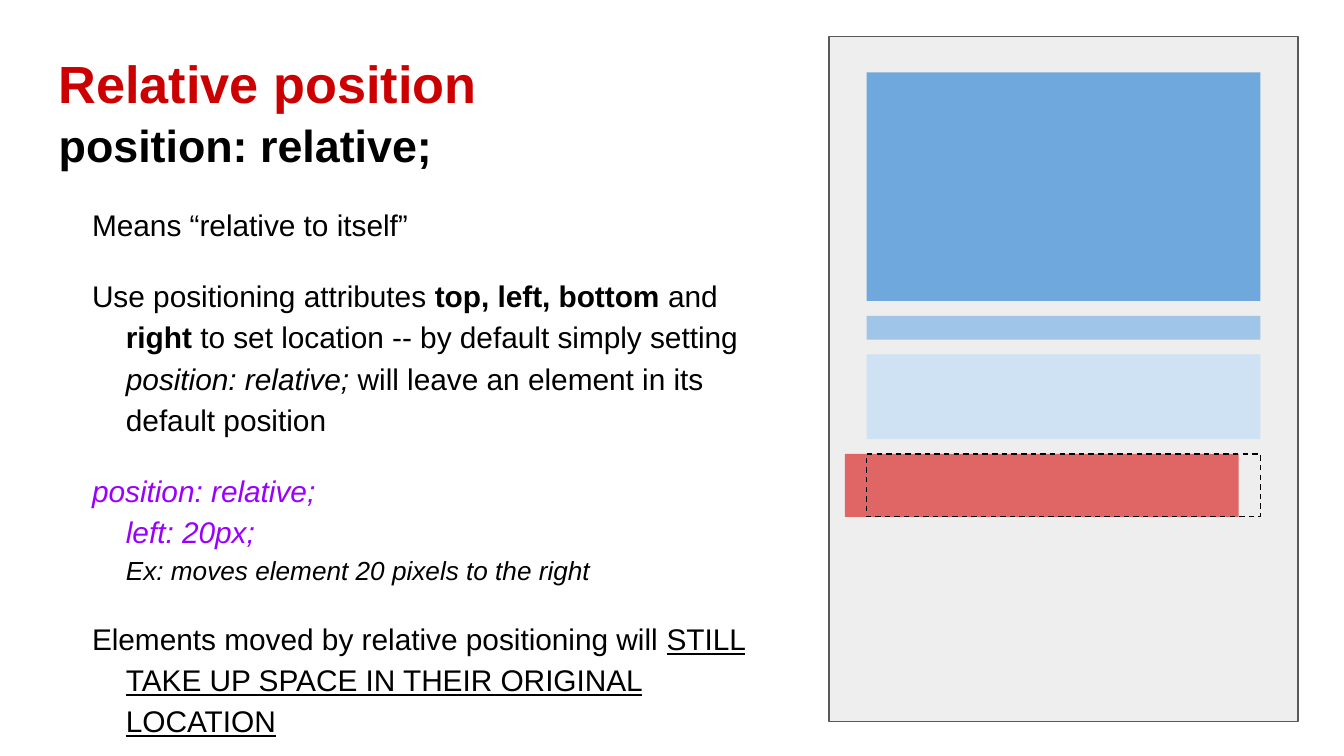
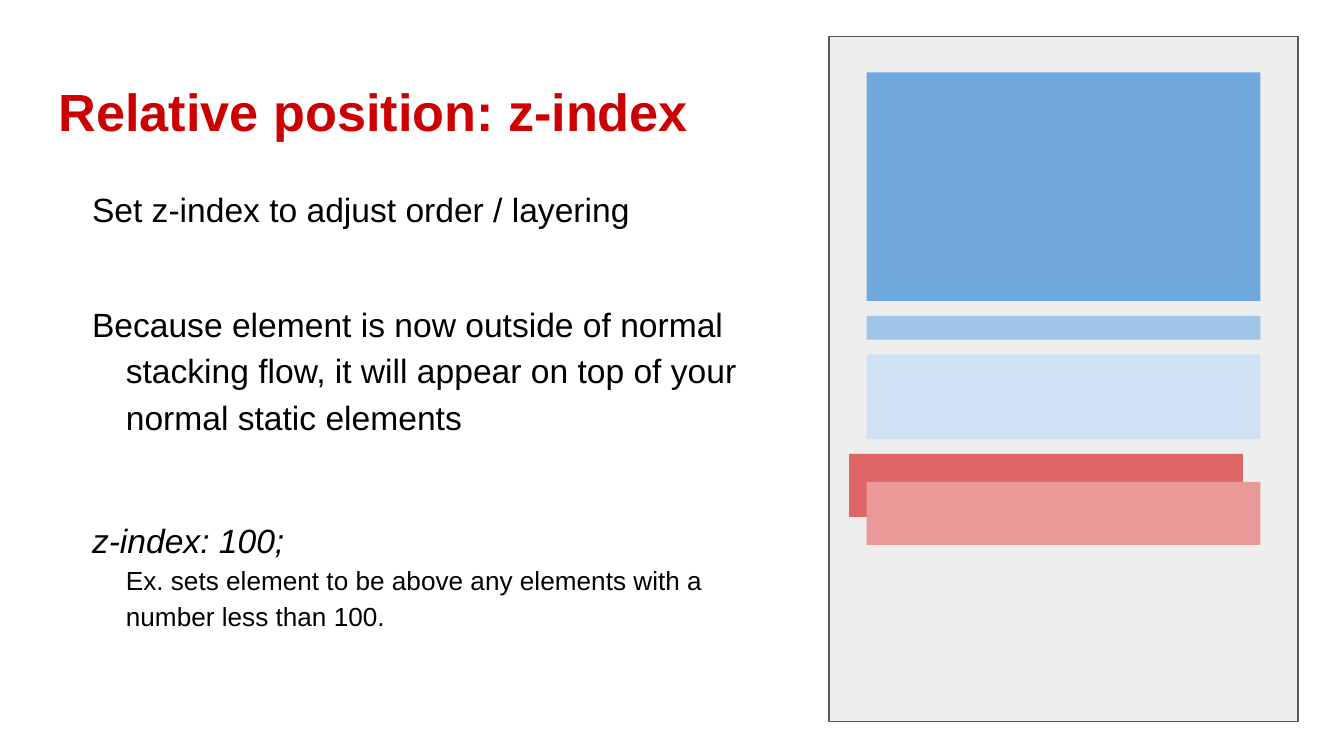
from lxml.etree import SubElement
from pptx import Presentation
from pptx.dml.color import RGBColor
from pptx.enum.dml import MSO_LINE
from pptx.enum.shapes import MSO_SHAPE
from pptx.enum.text import MSO_ANCHOR, MSO_AUTO_SIZE, PP_ALIGN
from pptx.oxml.ns import qn
from pptx.util import Cm, Pt

COLORS = {
    "title": "CC0000", "text": "000000", "code": "9900FF",
    "page": "EEEEEE", "page_line": "595959",
    "header": "6FA8DC", "menu": "9FC5E8", "content": "CFE2F3",
    "moved": "E06666", "overlap": "EA9999",
}
FONT = "Arial"
BLOCK_LEFT, BLOCK_WIDTH, BLOCK_GAP = 16.38, 7.44, 0.28
MOVED_HEIGHT = 1.19
STACK = [("header", 4.32), ("menu", 0.45), ("content", 1.6)]

# A run is (text, size, style flags, colour); a closing "\n" breaks the line.
# A paragraph is (indented, space after in points, runs).
SLIDES = [
    {
        "title": "Relative position", "title_top": 0.71,
        "body_top": 1.83, "body_height": 12.47,
        "moved_left": 15.97, "overlap_top": None,
        "body": [
            (False, 16, [("position: relative;", 24, "b", "text")]),
            (True, 16, [("Means “relative to itself”", 16, "", "text")]),
            (True, 16, [
                ("Use positioning attributes ", 16, "", "text"),
                ("top, left, bottom ", 16, "b", "text"),
                ("and", 16, "", "text"),
                (" right", 16, "b", "text"),
                (" to set location -- by default simply setting ", 16, "", "text"),
                ("position: relative;", 16, "i", "text"),
                (" will leave an element in its default position", 16, "", "text"),
            ]),
            (True, 16, [
                ("position: relative;\n", 16, "i", "code"),
                ("left: 20px;\n", 16, "i", "code"),
                ("Ex: moves element 20 pixels to the right", 14, "i", "text"),
            ]),
            (True, 16, [
                ("Elements moved by relative positioning will ", 16, "", "text"),
                ("STILL TAKE UP SPACE IN THEIR ORIGINAL LOCATION", 16, "u", "text"),
            ]),
        ],
    },
    {
        "title": "Relative position: z-index", "title_top": 1.24,
        "body_top": 3.2, "body_height": 9.5,
        "moved_left": 16.05, "overlap_top": 9.11,
        "body": [
            (True, 37, [("Set z-index to adjust order / layering", 18, "", "text")]),
            (True, 41, [("Because element is now outside of normal stacking flow, it "
                         "will appear on top of your normal static elements",
                         18, "", "text")]),
            (True, 16, [
                ("z-index: 100;\n", 18, "i", "text"),
                ("Ex. sets element to be above any elements with a number "
                 "less than 100.", 14, "", "text"),
            ]),
        ],
    },
]


def add_block(slide, left, top, width, height, fill=None, line=None):
    """Add a rectangle, placed in centimetres, with optional fill and line."""
    shape = slide.shapes.add_shape(
        MSO_SHAPE.RECTANGLE, Cm(left), Cm(top), Cm(width), Cm(height))
    shape.shadow.inherit = False
    if fill:
        shape.fill.solid()
        shape.fill.fore_color.rgb = RGBColor.from_string(COLORS[fill])
    else:
        shape.fill.background()
    if line:
        shape.line.color.rgb = RGBColor.from_string(COLORS[line])
        shape.line.width = Pt(0.75)
    else:
        shape.line.fill.background()
    return shape


def format_run(run, size, flags, color):
    """Set the font of a run; flags holds b, i and u."""
    run.font.name = FONT
    run.font.size = Pt(size)
    run.font.bold = "b" in flags
    run.font.italic = "i" in flags
    run.font.underline = "u" in flags
    run.font.color.rgb = RGBColor.from_string(COLORS[color])


presentation = Presentation()
presentation.slide_width = Cm(25.4)
presentation.slide_height = Cm(14.29)
title_only = presentation.slide_layouts[5]

for content in SLIDES:
    slide = presentation.slides.add_slide(title_only)

    # Title and body text
    title = slide.shapes.title
    title.left, title.top = Cm(0.86), Cm(content["title_top"])
    title.width, title.height = Cm(23.67), Cm(1.6)
    title.text_frame.text = content["title"]
    title.text_frame.paragraphs[0].alignment = PP_ALIGN.LEFT
    format_run(title.text_frame.paragraphs[0].runs[0], 28, "b", "title")

    body = slide.shapes.add_textbox(
        Cm(0.86), Cm(content["body_top"]), Cm(14.2), Cm(content["body_height"]))
    for text_frame in (title.text_frame, body.text_frame):
        text_frame.word_wrap = True
        text_frame.auto_size = MSO_AUTO_SIZE.NONE
        text_frame.vertical_anchor = MSO_ANCHOR.TOP
        text_frame.margin_left = text_frame.margin_right = Cm(0.25)
        text_frame.margin_top = text_frame.margin_bottom = Cm(0.25)

    for number, (indented, space_after, runs) in enumerate(content["body"]):
        if number == 0:
            paragraph = body.text_frame.paragraphs[0]
        else:
            paragraph = body.text_frame.add_paragraph()
        paragraph.line_spacing = 1.15
        paragraph.space_after = Pt(space_after)
        if indented:
            properties = paragraph._p.get_or_add_pPr()
            properties.set("marL", str(Cm(1.27)))
            properties.set("indent", str(-Cm(0.64)))
        for text, size, flags, color in runs:
            run = paragraph.add_run()
            run.text = text.rstrip("\n")
            format_run(run, size, flags, color)
            if text.endswith("\n"):
                paragraph.add_line_break()
                SubElement(paragraph._p[-1], qn("a:rPr"), sz=str(size * 100))

    # Page diagram: stacked blocks, then the moved one
    add_block(slide, 15.67, 0.69, 8.86, 12.95, "page", "page_line")
    top = 1.37
    for fill, height in STACK:
        add_block(slide, BLOCK_LEFT, top, BLOCK_WIDTH, height, fill)
        top += height + BLOCK_GAP
    add_block(slide, content["moved_left"], top, BLOCK_WIDTH, MOVED_HEIGHT, "moved")
    if content["overlap_top"]:
        add_block(slide, BLOCK_LEFT, content["overlap_top"],
                  BLOCK_WIDTH, MOVED_HEIGHT, "overlap")
    else:
        outline = add_block(slide, BLOCK_LEFT, top, BLOCK_WIDTH, MOVED_HEIGHT,
                            line="text")
        outline.line.dash_style = MSO_LINE.DASH

presentation.save("out.pptx")
